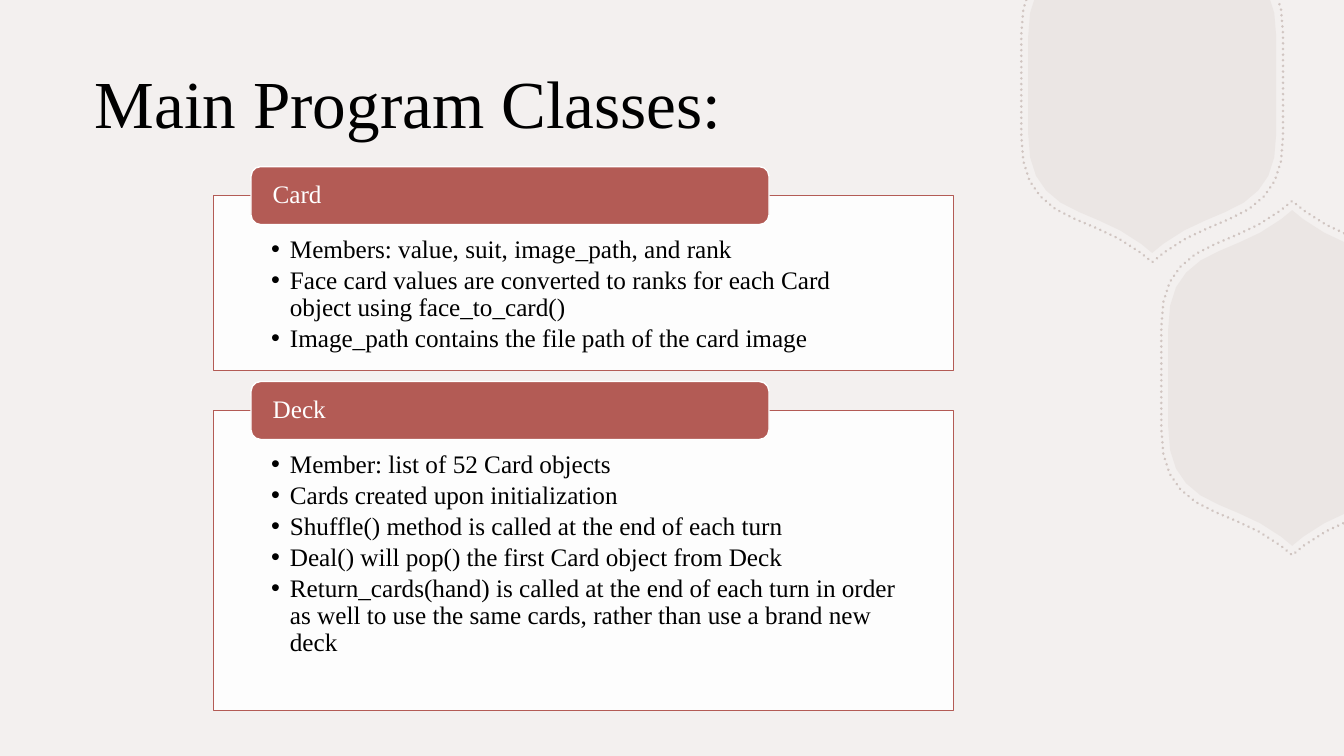
import pptx
import pptx.dml.color
import pptx.enum.dml
import pptx.enum.shapes
import pptx.enum.text
import pptx.oxml.ns
import pptx.util
from lxml import etree

Pt = pptx.util.Pt
qn = pptx.oxml.ns.qn
FORM = pptx.enum.shapes.MSO_SHAPE
ANCHOR = pptx.enum.text.MSO_ANCHOR
WIDE, HIGH = 960, 540
FONT = "Times New Roman"
RED, TAUPE, WHITE, BLACK = "B35B55", "BFAFAA", "FFFFFF", "000000"

# Lower-left quarter of the badge outline, around its centre
CURVES = [
    [(-88.6, 34.6), (-88.6, 60.1), (-81.4, 73.1), (-65.5, 83.9)],
    [(-65.5, 83.9), (-49, 94), (-27.4, 98.3), (-7.9, 113.4)],
]
TIP = (0, 119.9)
CENTRES = [(823, 60.8), (923, 270)]

# Top of panel, height of panel, heading, bullets
PANELS = [
    (139.7, 124.9, "Card", [
        "Members: value, suit, image_path, and rank",
        "Face card values are converted to ranks for each Card object "
        "using face_to_card()",
        "Image_path contains the file path of the card image",
    ]),
    (293.2, 214.3, "Deck", [
        "Member: list of 52 Card objects",
        "Cards created upon initialization",
        "Shuffle() method is called at the end of each turn",
        "Deal() will pop() the first Card object from Deck",
        "Return_cards(hand) is called at the end of each turn in order "
        "as well to use the same cards, rather than use a brand new deck",
    ]),
]


def color(code):
    return pptx.dml.color.RGBColor.from_string(code)


def fade(shape, share):
    """Set the opacity, in percent, of the colours the shape has so far."""
    for tint in shape._element.spPr.iter(qn("a:srgbClr")):
        etree.SubElement(tint, qn("a:alpha")).set("val", str(share * 1000))


def box(slide, form, area, fill, line, share=100):
    shape = slide.shapes.add_shape(form, *map(Pt, area))
    shape.shadow.inherit = False
    shape.fill.solid()
    shape.fill.fore_color.rgb = color(fill)
    if share < 100:
        fade(shape, share)
    shape.line.color.rgb = color(line)
    shape.line.width = Pt(1)
    return shape


def lower(slide, shape):
    """Send a shape behind the text."""
    slide.shapes._spTree.insert(2, shape._element)


def place(shape, left, top, width, height):
    shape.left, shape.top = Pt(left), Pt(top)
    shape.width, shape.height = Pt(width), Pt(height)


def inset(frame, left, top, right, bottom, anchor=ANCHOR.TOP):
    frame.margin_left, frame.margin_top = Pt(left), Pt(top)
    frame.margin_right, frame.margin_bottom = Pt(right), Pt(bottom)
    frame.word_wrap = True
    frame.auto_size = pptx.enum.text.MSO_AUTO_SIZE.NONE
    frame.vertical_anchor = anchor


def write(para, text, size, tint):
    para.alignment = pptx.enum.text.PP_ALIGN.LEFT
    run = para.add_run()
    run.text = text
    run.font.name = FONT
    run.font.size = Pt(size)
    run.font.color.rgb = color(tint)


def bullet(para, text):
    props = para._p.get_or_add_pPr()
    props.set("marL", str(Pt(13.5)))
    props.set("indent", str(-Pt(13.5)))
    etree.SubElement(props, qn("a:buChar")).set("char", "•")
    para.line_spacing = 0.9
    para.space_before = Pt(0)
    para.space_after = Pt(2.7)
    write(para, text, 18, BLACK)


def bend(curve, steps=4):
    """Points along a cubic curve."""
    for step in range(steps):
        t = (step + 1) / steps
        parts = ((1 - t) ** 3, 3 * t * (1 - t) ** 2, 3 * t * t * (1 - t), t ** 3)
        yield tuple(sum(part * point[axis] for part, point in zip(parts, curve))
                    for axis in (0, 1))


def within(point):
    return point[0] <= WIDE and point[1] >= 0


def cross(a, b):
    """Where the line from a to b meets the top or right slide edge."""
    if (a[1] < 0) != (b[1] < 0):
        t = a[1] / (a[1] - b[1])
    else:
        t = (WIDE - a[0]) / (b[0] - a[0])
    return a[0] + t * (b[0] - a[0]), a[1] + t * (b[1] - a[1])


def outline(centre, grow):
    """Points of a badge that lie on the slide, in order."""
    left = [CURVES[0][0]] + [p for curve in CURVES for p in bend(curve)]
    half = left + [TIP] + [(-x, y) for x, y in reversed(left)]
    ring = half + [(-x, -y) for x, y in half]
    ring = [(centre[0] + x * grow, centre[1] + y * grow) for x, y in ring]
    cut = next(i for i, point in enumerate(ring) if not within(point))
    ring = ring[cut:] + ring[:cut + 1]
    points = []
    for a, b in zip(ring, ring[1:]):
        if within(a) != within(b):
            points.append(cross(a, b))
        if within(b):
            points.append(b)
    return points


def badge(slide, centre, grow, dotted):
    points = [(Pt(x), Pt(y)) for x, y in outline(centre, grow)]
    pen = slide.shapes.build_freeform(*points[0])
    pen.add_line_segments(points[1:], close=not dotted)
    shape = pen.convert_to_shape()
    shape.shadow.inherit = False
    if dotted:
        shape.fill.background()
        shape.line.color.rgb = color(TAUPE)
        shape.line.width = Pt(2)
        shape.line.dash_style = pptx.enum.dml.MSO_LINE.ROUND_DOT
        shape._element.spPr.find(qn("a:ln")).set("cap", "rnd")
        fade(shape, 65)
    else:
        shape.fill.solid()
        shape.fill.fore_color.rgb = color(TAUPE)
        shape.line.fill.background()
        fade(shape, 15)
    lower(slide, shape)


def heading(slide, text):
    title = slide.shapes.title
    place(title, 60.5, 40.3, 708.5, 65.5)
    inset(title.text_frame, 7.2, 3.6, 7.2, 3.6)
    write(title.text_frame.paragraphs[0], text, 48, BLACK)


def panel(slide, body, top, height, name, items):
    # Frame and bullets
    area = (152.6, top, 528.5, height)
    lower(slide, box(slide, FORM.RECTANGLE, area, WHITE, RED, 90))
    place(body, *area)
    frame = body.text_frame
    inset(frame, 41, 29.5, 41, 10)
    for i, item in enumerate(items):
        bullet(frame.add_paragraph() if i else frame.paragraphs[0], item)

    # Heading tab across the top edge
    box(slide, FORM.ROUNDED_RECTANGLE, (179.3, top - 20.7, 370, 41.4), RED, WHITE)
    label = slide.shapes.add_textbox(
        Pt(181.3), Pt(top - 18.7), Pt(366), Pt(37.4))
    inset(label.text_frame, 13.5, 0, 13.5, 0, ANCHOR.MIDDLE)
    para = label.text_frame.paragraphs[0]
    para.line_spacing = 0.9
    write(para, name, 18, WHITE)


def main():
    deck = pptx.Presentation()
    deck.slide_width, deck.slide_height = Pt(WIDE), Pt(HIGH)
    slide = deck.slides.add_slide(deck.slide_layouts[3])
    slide.background.fill.solid()
    slide.background.fill.fore_color.rgb = color("F3F0EF")

    # Corner decoration
    for centre in CENTRES:
        badge(slide, centre, 1, False)
        badge(slide, centre, 1.055, True)

    # Title and class panels
    heading(slide, "Main Program Classes:")
    for slot, data in zip((1, 2), PANELS):
        panel(slide, slide.placeholders[slot], *data)
    deck.save("out.pptx")


if __name__ == "__main__":
    main()
